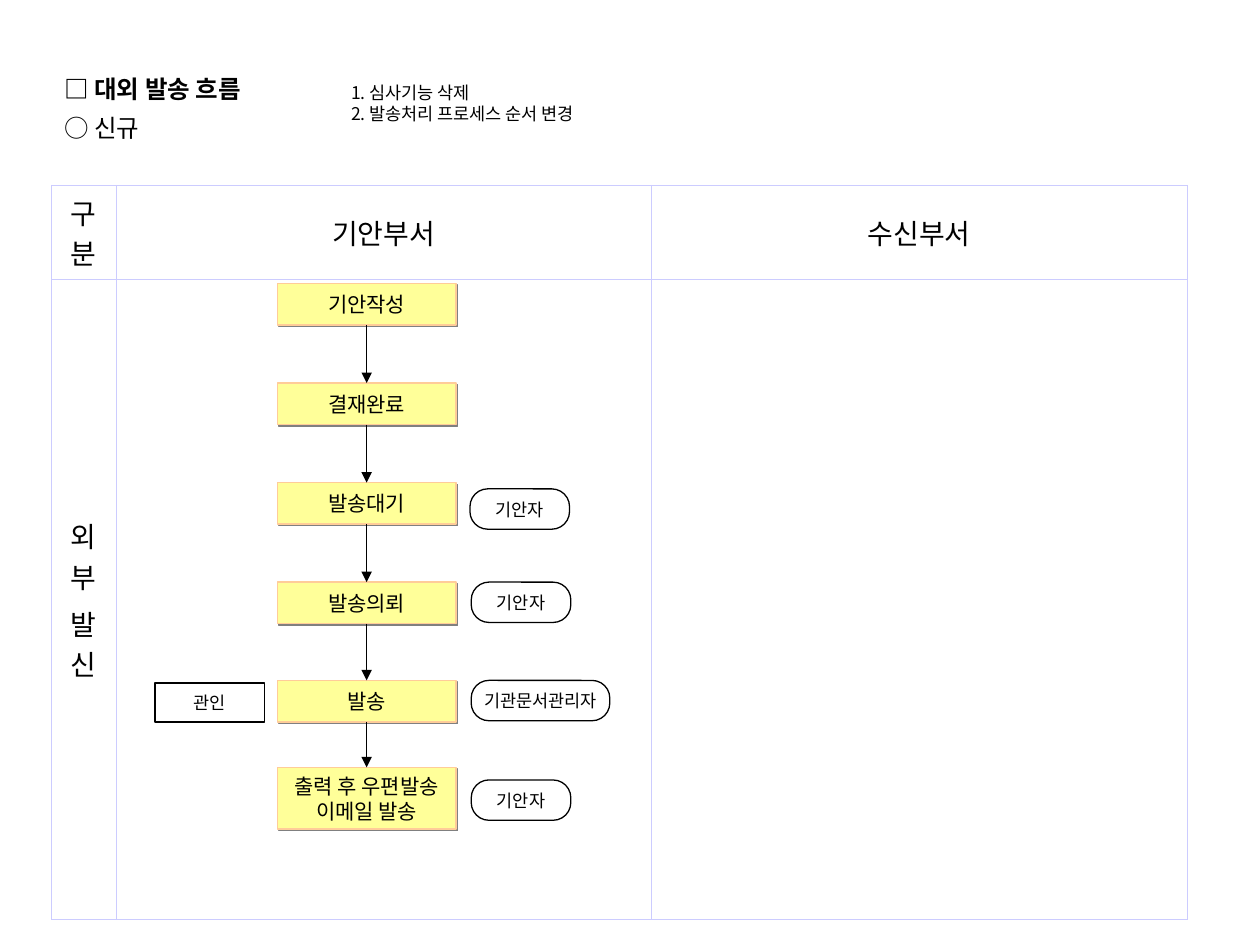
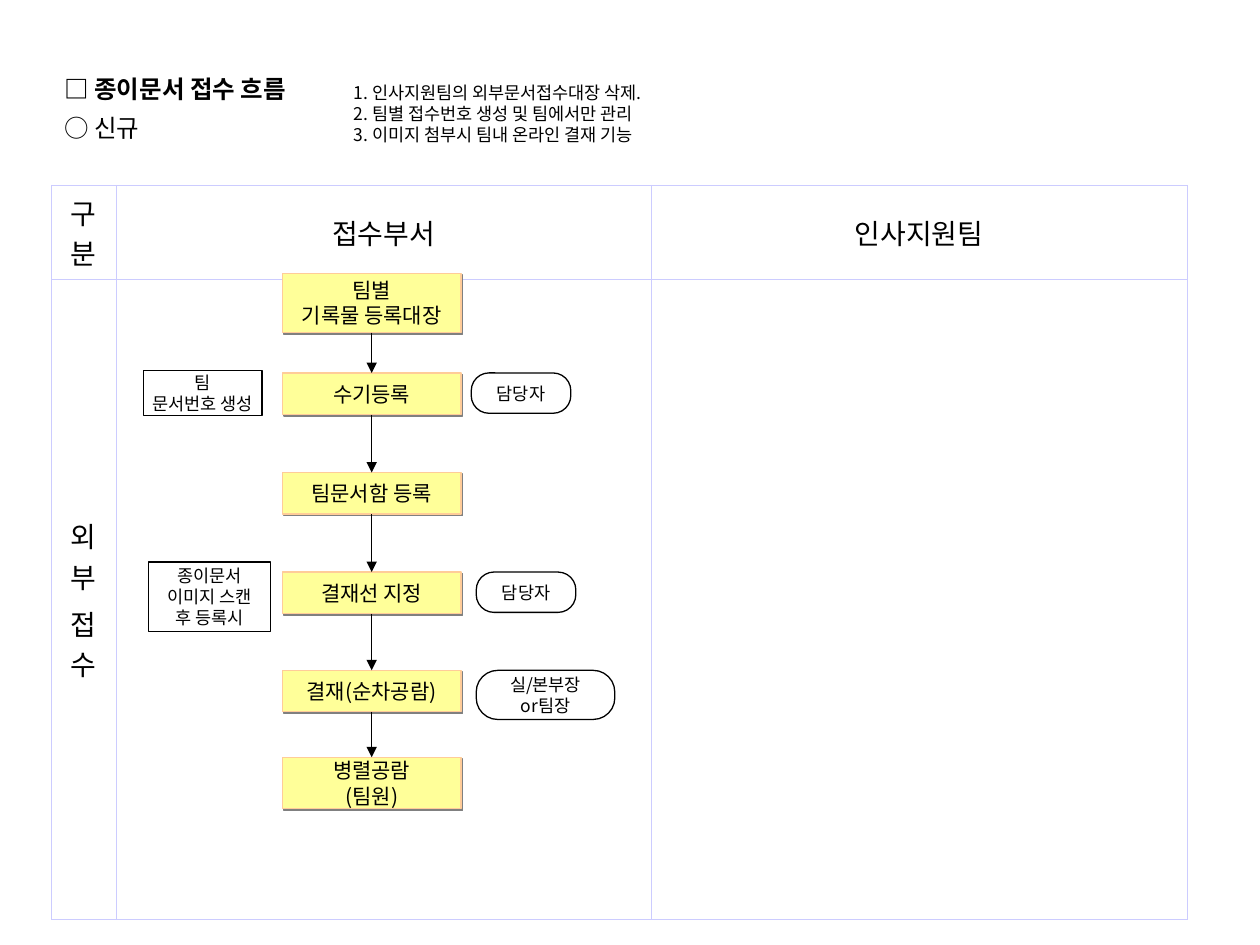
"""Build two document-flow slides with swimlane tables."""
from dataclasses import dataclass

from lxml import etree
from pptx import Presentation
from pptx.dml.color import RGBColor
from pptx.enum import shapes, text
from pptx.oxml import ns
from pptx.util import Emu, Pt

PX = 9144
FONT = "Noto Sans CJK KR"
HUES = {"ink": "000000", "grid": "CCCCFF", "step": "FFFF99", "edge": "FFCC99", "shade": "808080"}
DROPS = (0, 79, 158, 237, 315, 384)
STEP_W, STEP_H = 142, 33
COLS, ROWS = (51, 425, 425), (75, 508)
RECT = shapes.MSO_SHAPE.RECTANGLE
PILL = shapes.MSO_SHAPE.ROUNDED_RECTANGLE
NOTE = shapes.MSO_SHAPE.FLOWCHART_PROCESS
MID = text.PP_ALIGN.CENTER


@dataclass(frozen=True)
class Box:
    """A rectangle in px."""
    x: int
    y: int
    w: int
    h: int

    def emu(self) -> list:
        """Return the four lengths in EMU."""
        return [Emu(n * PX) for n in (self.x, self.y, self.w, self.h)]


@dataclass(frozen=True)
class Step:
    """One yellow step of the flow."""
    words: str
    h: int = STEP_H


@dataclass(frozen=True)
class Tag:
    """An outlined label beside a step."""
    words: str
    box: Box
    kind: int = PILL


@dataclass(frozen=True)
class Flow:
    """All that differs between the slides."""
    title: str
    heads: tuple
    side: str
    x: int
    y: int
    steps: tuple
    tags: tuple
    memo: str
    area: Box


FLOWS = (
    Flow("대외 발송 흐름", ("구분", "기안부서", "수신부서"), "외부\n발신", 220, 225,
         (Step("기안작성"), Step("결재완료"), Step("발송대기"), Step("발송의뢰"),
          Step("발송"), Step("출력 후 우편발송\n이메일 발송", 49)),
         (Tag("기안자", Box(373, 388, 79, 32)),
          Tag("기안자", Box(374, 462, 79, 32)),
          Tag("기관문서관리자", Box(374, 540, 110, 32)),
          Tag("기안자", Box(374, 619, 79, 32)),
          Tag("관인", Box(123, 542, 87, 31), NOTE)),
         "1. 심사기능 삭제\n2. 발송처리 프로세스 순서 변경", Box(269, 60, 303, 44)),
    Flow("종이문서 접수 흐름", ("구분", "접수부서", "인사지원팀"), "외부\n접수", 224, 217,
         (Step("팀별\n기록물 등록대장", 47), Step("수기등록"), Step("팀문서함 등록"),
          Step("결재선 지정"), Step("결재(순차공람)"), Step("병렬공람\n(팀원)", 41)),
         (Tag("담당자", Box(374, 296, 79, 32)),
          Tag("담당자", Box(378, 454, 79, 32)),
          Tag("실/본부장\nor팀장", Box(378, 532, 110, 39)),
          Tag("팀\n문서번호 생성", Box(114, 294, 94, 36), NOTE),
          Tag("종이문서\n이미지 스캔\n후 등록시", Box(118, 446, 97, 55), NOTE)),
         "1. 인사지원팀의 외부문서접수대장 삭제.\n2. 팀별 접수번호 생성 및 팀에서만 관리\n"
         "3. 이미지 첨부시 팀내 온라인 결재 기능", Box(271, 60, 357, 60)),
)


def hue(key: str) -> RGBColor:
    """Look up a colour."""
    return RGBColor.from_string(HUES[key])


def node(top, tag: str, **attrs: str):
    """Append an XML child."""
    return etree.SubElement(top, ns.qn(tag), attrs)


def write(frame, words: str, size: int, align=None) -> None:
    """Set text and format every run."""
    frame.text = words
    for para in frame.paragraphs:
        para.alignment = align
        for run in para.runs:
            font = run.font
            font.size, font.name, font.bold = Pt(size), FONT, False
            font.color.rgb = hue("ink")
            node(font._element, "a:ea", typeface=FONT)


def block(slide, kind: int, box: Box, words: str, size: int, edge: str):
    """Draw an unfilled shape with centred text."""
    item = slide.shapes.add_shape(kind, *box.emu())
    item.shadow.inherit = False
    item.fill.background()
    item.line.color.rgb, item.line.width = hue(edge), Pt(0.75)
    if kind == PILL:
        item.adjustments[0] = 0.44
    frame = item.text_frame
    frame.word_wrap = False
    frame.vertical_anchor = text.MSO_ANCHOR.MIDDLE
    write(frame, words, size, MID)
    return item


def stage(slide, box: Box, words: str):
    """Draw a yellow step with a hard shadow."""
    item = block(slide, RECT, box, words, 12, "edge")
    item.fill.solid()
    item.fill.fore_color.rgb = hue("step")
    glow = item._element.spPr.find(ns.qn("a:effectLst"))
    shade = node(glow, "a:outerShdw", dist="17780", dir="2700000", algn="ctr", rotWithShape="0")
    node(shade, "a:srgbClr", val=HUES["shade"])
    return item


def arrow(slide, start, end) -> None:
    """Join the bottom of one step to the top of the next."""
    link = slide.shapes.add_connector(shapes.MSO_CONNECTOR.STRAIGHT, 0, 0, 0, 0)
    link.begin_connect(start, 2)
    link.end_connect(end, 0)
    link.line.color.rgb, link.line.width = hue("ink"), Pt(0.75)
    node(link.line._get_or_add_ln(), "a:tailEnd", type="triangle")
    node(link._element.spPr, "a:effectLst")


def fence(cell) -> None:
    """Clear the fill and rule all four sides of a cell."""
    cell.fill.background()
    props = cell._tc.get_or_add_tcPr()
    for spot, side in enumerate("LRTB"):
        rule = node(props, f"a:ln{side}", w="5715")
        node(node(rule, "a:solidFill"), "a:srgbClr", val=HUES["grid"])
        props.insert(spot, rule)


def lanes(slide, flow: Flow) -> None:
    """Draw the swimlane table."""
    box = Box(41, 147, sum(COLS), sum(ROWS))
    grid = slide.shapes.add_table(len(ROWS), len(COLS), *box.emu()).table
    grid.first_row = grid.horz_banding = False
    for col, wide in zip(grid.columns, COLS):
        col.width = Emu(wide * PX)
    for row, high in zip(grid.rows, ROWS):
        row.height = Emu(high * PX)
    for cell, words in zip(grid.iter_cells(), (*flow.heads, flow.side, "", "")):
        fence(cell)
        cell.vertical_anchor = text.MSO_ANCHOR.MIDDLE
        write(cell.text_frame, words, 16, MID)
        for para in cell.text_frame.paragraphs:
            para.space_before = Pt(4)


def label(slide, box: Box, words: str, size: int):
    """Draw a wrapping text box and return its frame."""
    frame = slide.shapes.add_textbox(*box.emu()).text_frame
    frame.word_wrap = True
    write(frame, words, size)
    return frame


def title(slide, words: str) -> None:
    """Draw the two-line heading."""
    frame = label(slide, Box(51, 52, 283, 71), f"□ {words}\v○ 신규", 14)
    frame.margin_left = frame.margin_right = frame.margin_top = frame.margin_bottom = 0
    para = frame.paragraphs[0]
    para.line_spacing = 1.3
    para.runs[0].font.bold = True


def memo(slide, flow: Flow) -> None:
    """Draw the numbered remarks with a hanging indent."""
    for para in label(slide, flow.area, flow.memo, 10).paragraphs:
        props = para._p.get_or_add_pPr()
        props.set("marL", str(50 * PX))
        props.set("indent", str(-50 * PX))


def draw(slide, flow: Flow) -> None:
    """Draw one flow slide."""
    lanes(slide, flow)
    title(slide, flow.title)
    memo(slide, flow)
    chain = [stage(slide, Box(flow.x, flow.y + drop, STEP_W, step.h), step.words)
             for drop, step in zip(DROPS, flow.steps)]
    for start, end in zip(chain, chain[1:]):
        arrow(slide, start, end)
    for tag in flow.tags:
        block(slide, tag.kind, tag.box, tag.words, 10, "ink")


def main() -> None:
    """Build and save the deck."""
    deck = Presentation()
    deck.slide_width, deck.slide_height = Emu(1000 * PX), Emu(750 * PX)
    for flow in FLOWS:
        draw(deck.slides.add_slide(deck.slide_layouts[6]), flow)
    deck.save("out.pptx")


if __name__ == "__main__":
    main()
